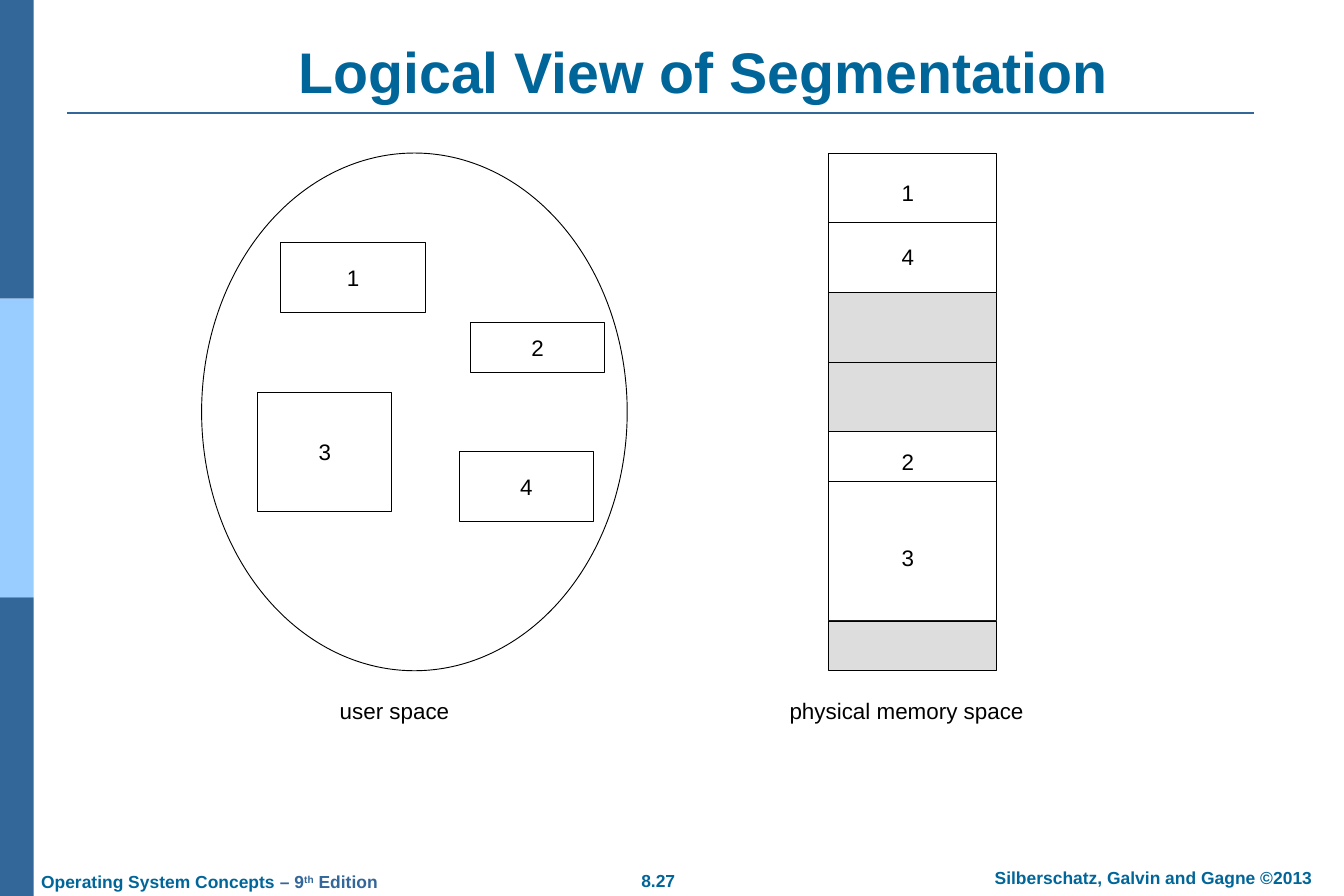
import dataclasses

import pptx
import pptx.dml.color
import pptx.enum.shapes
import pptx.enum.text
import pptx.oxml.ns
import pptx.util
from lxml import etree

Pt = pptx.util.Pt
MSO_SHAPE = pptx.enum.shapes.MSO_SHAPE
PP_ALIGN = pptx.enum.text.PP_ALIGN
ANCHOR = pptx.enum.text.MSO_ANCHOR
AUTO_SIZE = pptx.enum.text.MSO_AUTO_SIZE


@dataclasses.dataclass(frozen=True)
class Theme:
    font: str = "Arial"
    heading: str = "006699"
    bar: str = "336699"
    light_bar: str = "99CCFF"
    ink: str = "000000"
    paper: str = "FFFFFF"
    free: str = "DDDDDD"
    title_size: float = 46
    label_size: float = 18
    footer_size: float = 14


THEME = Theme()
COLUMN_LEFT, COLUMN_WIDTH = 666, 135
LABEL_CENTER = 729.5


def rgb(value):
    return pptx.dml.color.RGBColor.from_string(value)


def format_run(r, size, color, bold=False):
    r.font.name = THEME.font
    r.font.size = Pt(size)
    r.font.bold = bold
    r.font.color.rgb = rgb(color)


def format_frame(tf, anchor, wrap=False, side=10, edge=5):
    tf.word_wrap = wrap
    tf.vertical_anchor = anchor
    tf.margin_left = tf.margin_right = Pt(side)
    tf.margin_top = tf.margin_bottom = Pt(edge)


def add_box(shapes, left, top, width, height, fill, line=THEME.ink, text="", kind=MSO_SHAPE.RECTANGLE):
    sp = shapes.add_shape(kind, Pt(left), Pt(top), Pt(width), Pt(height))
    sp.shadow.inherit = False
    sp.fill.solid()
    sp.fill.fore_color.rgb = rgb(fill)
    if line:
        sp.line.color.rgb = rgb(line)
        sp.line.width = Pt(0.75)
    else:
        sp.line.fill.background()
    if text:
        format_frame(sp.text_frame, ANCHOR.MIDDLE)
        sp.text_frame.text = text
        p = sp.text_frame.paragraphs[0]
        p.alignment = PP_ALIGN.CENTER
        format_run(p.runs[0], THEME.label_size, THEME.ink)
    return sp


def add_line(shapes, left, right, y, color=THEME.ink, width=0.75):
    line = shapes.add_connector(pptx.enum.shapes.MSO_CONNECTOR.STRAIGHT, Pt(left), Pt(y), Pt(right), Pt(y))
    line.line.color.rgb = rgb(color)
    line.line.width = Pt(width)
    etree.SubElement(line._element.spPr, pptx.oxml.ns.qn("a:effectLst"))
    return line


def add_label(shapes, center, top, width, height, text, size=THEME.label_size, color=THEME.ink,
              bold=False, anchor=ANCHOR.MIDDLE, **margins):
    """Add a one-line text box centred on a given x."""
    sp = shapes.add_textbox(Pt(center - width / 2), Pt(top), Pt(width), Pt(height))
    tf = sp.text_frame
    format_frame(tf, anchor, **margins)
    tf.auto_size = AUTO_SIZE.SHAPE_TO_FIT_TEXT
    tf.text = text
    p = tf.paragraphs[0]
    p.alignment = PP_ALIGN.CENTER
    format_run(p.runs[0], size, color, bold)
    return sp


def add_title(s, text):
    title = s.shapes.title
    title.left, title.top, title.width, title.height = Pt(104.4), Pt(28.8), Pt(921.6), Pt(60.5)
    tf = title.text_frame
    format_frame(tf, ANCHOR.BOTTOM, wrap=True)
    tf.auto_size = AUTO_SIZE.NONE
    tf.text = text
    p = tf.paragraphs[0]
    p.alignment = PP_ALIGN.CENTER
    format_run(p.runs[0], THEME.title_size, THEME.heading, True)


def add_frame(s):
    """Add the side bars and the rule under the title."""
    for i, color in enumerate((THEME.bar, THEME.light_bar, THEME.bar)):
        add_box(s.shapes, 0, 240 * i, 27, 240, color, line=None)
    add_line(s.shapes, 54, 1008, 90.5, THEME.bar, 1.5)


def add_footer(s):
    style = dict(size=THEME.footer_size, color=THEME.heading, bold=True, anchor=ANCHOR.TOP)
    add_label(s.shapes, 529, 694, 100, 27, "8.27", **style)
    add_label(s.shapes, 927, 692, 320, 27, "Silberschatz, Galvin and Gagne ©2013", **style)
    edition = add_label(s.shapes, 169, 695, 292, 27, "Operating System Concepts", **style)
    p = edition.text_frame.paragraphs[0]
    p.alignment = PP_ALIGN.LEFT
    for text, baseline in ((" – 9", 0), ("th", 30000), (" Edition", 0)):
        r = p.add_run()
        r.text = text
        format_run(r, THEME.footer_size, THEME.bar, True)
        if baseline:
            r._r.get_or_add_rPr().set("baseline", str(baseline))


def add_user_space(s):
    add_box(s.shapes, 162, 123, 342, 416, THEME.paper, kind=MSO_SHAPE.OVAL)
    segments = (
        ("1", 225.5, 195, 116.5, 56),
        ("3", 207, 315, 108, 96),
        ("2", 378, 259, 108, 40),
        ("4", 369, 363, 108, 56),
    )
    for text, *place in segments:
        add_box(s.shapes, *place, THEME.paper, text=text)
    add_label(s.shapes, 317, 555, 114, 32, "user space")


def add_physical_memory(s):
    column = s.shapes.add_group_shape().shapes
    top = 123
    blocks = (
        (112, THEME.paper, 56),
        (112, THEME.free, 56),
        (152, THEME.paper, 40),
        (40, THEME.free, None),
    )
    for height, fill, split in blocks:
        block = add_box(column, COLUMN_LEFT, top, COLUMN_WIDTH, height, fill)
        if split:
            line = add_line(column, COLUMN_LEFT, COLUMN_LEFT + COLUMN_WIDTH, top + split)
            if split * 2 == height:
                line.begin_connect(block, 1)
                line.end_connect(block, 3)
        top += height
    for text, middle in (("1", 155), ("4", 206), ("2", 371), ("3", 448)):
        add_label(column, LABEL_CENTER, middle - 14.5, 24.5, 29, text, side=7.2, edge=3.6)
    add_label(s.shapes, 728.5, 555, 209, 32, "physical memory space")


def main():
    prs = pptx.Presentation()
    prs.slide_width, prs.slide_height = Pt(1080), Pt(720)
    s = prs.slides.add_slide(prs.slide_layouts.get_by_name("Title Only"))
    add_frame(s)
    add_footer(s)
    add_title(s, "Logical View of Segmentation")
    add_user_space(s)
    add_physical_memory(s)
    prs.save("out.pptx")


if __name__ == "__main__":
    main()
